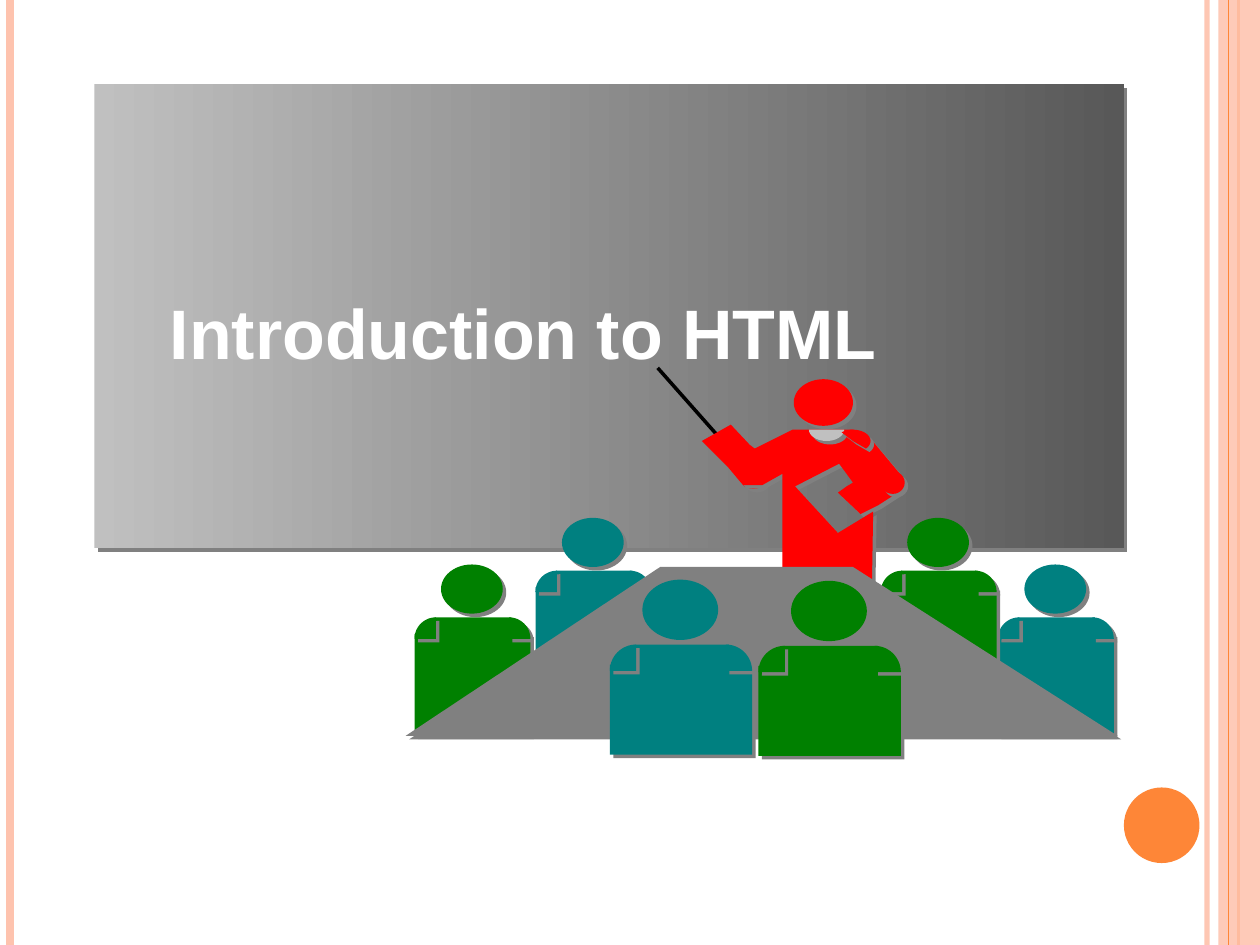
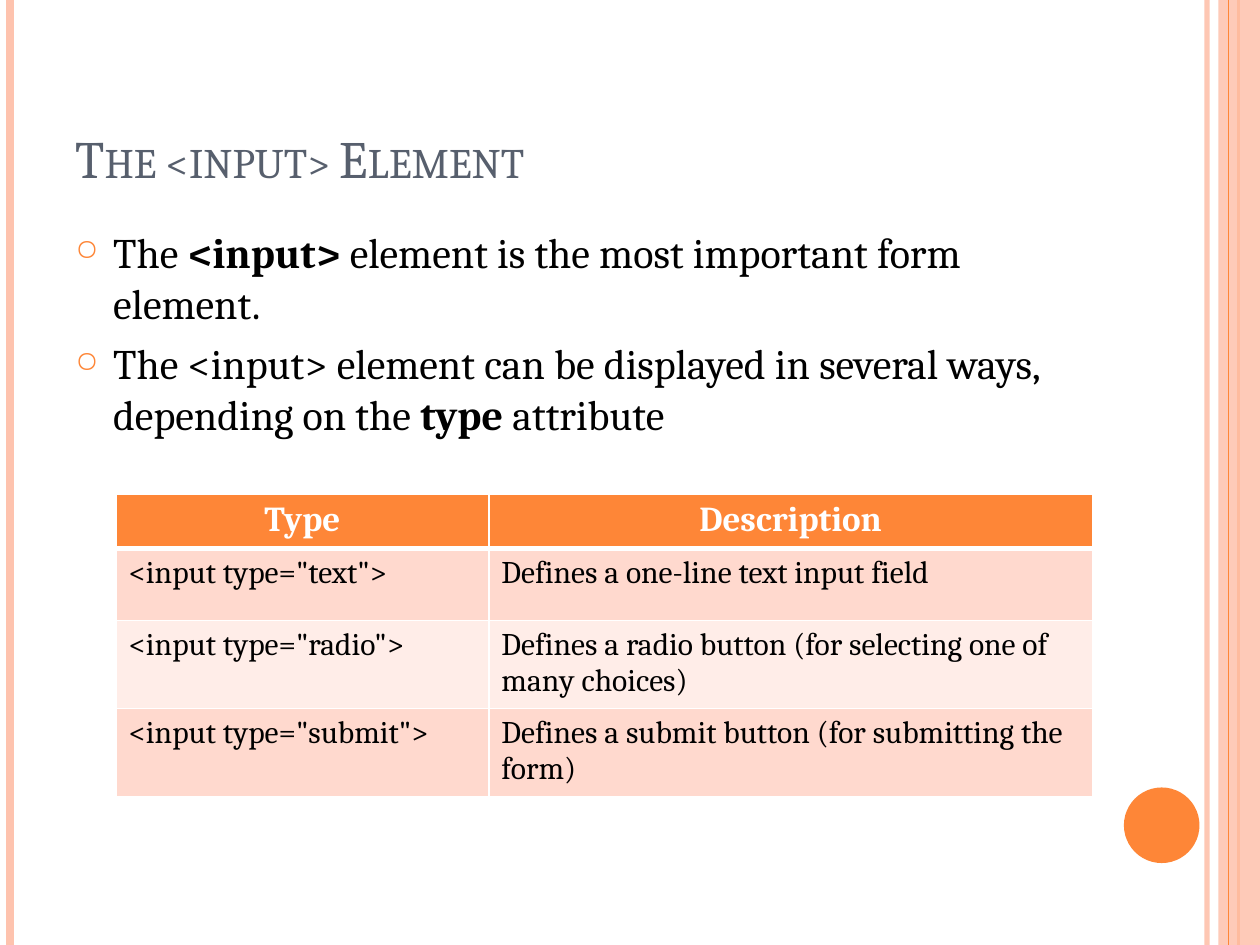
from collections import namedtuple
from math import cos, radians, sin

from lxml.etree import SubElement
from pptx import Presentation
from pptx.dml.color import RGBColor
from pptx.enum.shapes import MSO_CONNECTOR, MSO_SHAPE
from pptx.enum.text import MSO_ANCHOR, PP_ALIGN
from pptx.oxml.ns import qn
from pptx.util import Cm, Pt

COLORS = {
    "accent": "FE8637", "band": "FEC3AE", "title": "575F6D", "text": "000000",
    "white": "FFFFFF", "row_dark": "FFD9CE", "row_light": "FFEDE8",
    "board_light": "C0C0C0", "board_dark": "585858", "gray": "808080",
    "red": "FF0000", "teal": "008080", "green": "008000",
}
BODY_FONT = "Cambria"
Box = namedtuple("Box", "left top width height")


def inch(value):
    """Convert a length in inches to a length built with Cm."""
    return Cm(value * 2.54)


def rgb(name):
    """Return the named palette colour."""
    return RGBColor.from_string(COLORS[name])


def add_effects(element, shadow):
    """Replace the inherited effects with none or a hard offset shadow."""
    effects = SubElement(element.spPr, qn("a:effectLst"))
    if shadow:
        outer = SubElement(effects, qn("a:outerShdw"), dist=str(Pt(2.8)),
                           dir="2700000", algn="ctr", rotWithShape="0")
        SubElement(outer, qn("a:srgbClr"), val=COLORS["gray"])


def set_alpha(color_parent, percent):
    """Make the solid colour below an element partly transparent."""
    color = color_parent.find(".//" + qn("a:srgbClr"))
    SubElement(color, qn("a:alpha"), val=str(percent * 1000))


def finish(shape, color, shadow=False):
    """Give a shape a plain fill, no outline and its shadow."""
    shape.fill.solid()
    shape.fill.fore_color.rgb = rgb(color)
    shape.line.fill.background()
    add_effects(shape._element, shadow)
    return shape


def add_preset(slide, kind, box, color, shadow=False):
    """Add a filled preset shape in a box."""
    shape = slide.shapes.add_shape(kind, *map(inch, box))
    return finish(shape, color, shadow)


def add_line(slide, start, end, color, width, shadow=False):
    """Add a straight line between two points."""
    line = slide.shapes.add_connector(
        MSO_CONNECTOR.STRAIGHT, *map(inch, (*start, *end)))
    line.line.color.rgb = rgb(color)
    line.line.width = Pt(width)
    add_effects(line._element, shadow)
    return line


def add_outline(slide, left, top, points, color):
    """Add a closed shadowed polygon with points relative to a corner."""
    corners = [(inch(left + x), inch(top + y)) for x, y in points]
    builder = slide.shapes.build_freeform(*corners[0])
    builder.add_line_segments(corners[1:], close=True)
    return finish(builder.convert_to_shape(), color, True)


def add_sector(slide, center, radii, start, end, color):
    """Add an elliptical sector between two clockwise angles."""
    steps = 16
    angles = [radians(start + (end - start) * step / steps)
              for step in range(steps + 1)]
    points = [(radii[0] * cos(angle), radii[1] * sin(angle)) for angle in angles]
    return add_outline(slide, *center, points + [(0, 0)], color)


def add_text_box(slide, box):
    """Add a wrapping text box and return its frame."""
    frame = slide.shapes.add_textbox(*map(inch, box)).text_frame
    frame.word_wrap = True
    return frame


def format_run(run, size, color, bold=False, font=BODY_FONT):
    """Set the font of a run."""
    run.font.name = font
    run.font.size = Pt(size)
    run.font.bold = bold
    run.font.color.rgb = rgb(color)


def add_frame(slide, box):
    """Draw the side bands and the round page mark."""
    def rule(x, color, width):
        """Draw a vertical rule over the full height."""
        return add_line(slide, (box.left + x, box.top),
                        (box.left + x, box.top + box.height), color, width)

    set_alpha(rule(9.58, "band", 3)._element.spPr, 93)
    rule(0.08, "band", 4.5)
    rule(9.83, "accent", 1.5)
    band = add_preset(slide, MSO_SHAPE.RECTANGLE,
                      (box.left + 9.67, box.top, 0.33, box.height), "band")
    set_alpha(band._element.spPr, 87)
    rule(9.75, "accent", 0.75)
    add_preset(slide, MSO_SHAPE.OVAL,
               (box.left + 8.92, box.top + 6.25, 0.6, 0.6), "accent")


def add_board(slide, box):
    """Draw the shaded board."""
    board = add_preset(slide, MSO_SHAPE.RECTANGLE, box, "board_light", True)
    board.fill.gradient()
    board.fill.gradient_angle = 0
    for stop, color in zip(board.fill.gradient_stops,
                           ("board_light", "board_dark")):
        stop.color.rgb = rgb(color)


def add_presenter(slide, box):
    """Draw the presenter with pointer and book."""
    left, top = box.left, box.top
    add_line(slide, (left + 0.56, top + 0.63), (left + 0.02, top + 0.02),
             "text", 2, True)
    for x, y, width, height in ((0.68, 0.84, 0.2, 0.14), (1.1, 0.11, 0.47, 0.37)):
        add_preset(slide, MSO_SHAPE.OVAL, (left + x, top + y, width, height),
                   "red", True)
    torso = [
        (1.48, 0.51), (1.57, 0.51), (1.7, 0.57), (1.95, 0.87), (1.94, 1),
        (1.77, 1.11), (1.63, 1.18), (1.45, 1.01), (1.52, 0.96), (1.57, 0.93),
        (1.46, 0.78), (1.11, 0.96), (1.45, 1.33), (1.73, 1.16), (1.72, 1.76),
        (1.01, 1.76), (1.01, 0.86), (0.85, 0.95), (0.7, 0.95), (0.68, 0.93),
        (0.58, 0.81), (0.37, 0.6), (0.6, 0.47), (0.75, 0.63), (0.79, 0.66),
        (1.09, 0.51),
    ]
    add_outline(slide, left, top, torso, "red")
    add_preset(slide, MSO_SHAPE.OVAL, (left + 1.79, top + 0.84, 0.19, 0.18),
               "red", True)
    add_sector(slide, (left + 1.36, top + 0.51), (0.14, 0.09), 0, 180,
               "board_light")
    add_sector(slide, (left + 1.57, top + 0.6), (0.14, 0.09), -130, 42, "red")


def add_listener(slide, box, color):
    """Draw a seated listener seen from behind, scaled to the box width."""
    unit = box.width / 0.92
    shoulder = box.top + 0.42 * unit
    radius = 0.17 * unit
    body_top = box.top + 0.55 * unit
    parts = (
        (MSO_SHAPE.RECTANGLE, (box.left + 0.16 * unit, shoulder,
                               0.61 * unit, 0.2 * unit)),
        (MSO_SHAPE.RECTANGLE, (box.left, body_top, box.width,
                               box.top + box.height - body_top)),
        (MSO_SHAPE.OVAL, (box.left + 0.21 * unit, box.top,
                          0.49 * unit, 0.39 * unit)),
    )
    for kind, part in parts:
        add_preset(slide, kind, part, color, True)
    for x, start in ((radius, 180), (box.width - radius, 270)):
        add_sector(slide, (box.left + x, shoulder + radius), (radius, radius),
                   start, start + 90, color)


def add_meeting(slide, box):
    """Draw the listeners around the table."""
    back = ((4.7, 0.37, "teal"), (3.77, 0, "green"),
            (1.03, 0, "teal"), (0.07, 0.37, "green"))
    for x, y, color in back:
        add_listener(slide, Box(box.left + x, box.top + y, 0.92, 1.36), color)
    table = [(0, 1.73), (2.02, 0.39), (3.55, 0.39), (5.65, 1.73)]
    add_outline(slide, box.left, box.top, table, "gray")
    for x, y, color in ((2.8, 0.5, "green"), (1.62, 0.49, "teal")):
        add_listener(slide, Box(box.left + x, box.top + y, 1.13, 1.39), color)


def add_title(slide, box, text):
    """Write a slide title in small capitals at the foot of its box."""
    frame = add_text_box(slide, box)
    frame.vertical_anchor = MSO_ANCHOR.BOTTOM
    frame.text = text
    run = frame.paragraphs[0].runs[0]
    format_run(run, 30, "title")
    run.font._element.set("cap", "small")


def add_bullets(slide, box, items):
    """Write bulleted paragraphs of (text, bold) pieces."""
    frame = add_text_box(slide, box)
    for index, pieces in enumerate(items):
        paragraph = frame.add_paragraph() if index else frame.paragraphs[0]
        paragraph.space_before = Pt(6)
        for text, bold in pieces:
            run = paragraph.add_run()
            run.text = text
            format_run(run, 24, "text", bold)
        properties = paragraph._p.get_or_add_pPr()
        properties.set("marL", str(inch(0.3)))
        properties.set("indent", str(-inch(0.3)))
        color = SubElement(properties, qn("a:buClr"))
        SubElement(color, qn("a:srgbClr"), val=COLORS["accent"])
        SubElement(properties, qn("a:buSzPct"), val="70000")
        SubElement(properties, qn("a:buChar"), char="○")


def set_borders(cell, bottom):
    """Give a cell white borders with its own bottom width."""
    properties = cell._tc.get_or_add_tcPr()
    for side, width in (("L", 1), ("R", 1), ("T", 1), ("B", bottom)):
        border = SubElement(properties, qn("a:ln" + side), w=str(Pt(width)))
        fill = SubElement(border, qn("a:solidFill"))
        SubElement(fill, qn("a:srgbClr"), val=COLORS["white"])


def add_type_table(slide, box, rows, widths, heights):
    """Add a table with a header and banded rows."""
    table = slide.shapes.add_table(
        len(rows), len(widths), *map(inch, box)).table
    table.horz_banding = False
    for column, width in zip(table.columns, widths):
        column.width = inch(width)
    for index, texts in enumerate(rows):
        header = index == 0
        table.rows[index].height = inch(heights[index])
        band = "row_dark" if index % 2 else "row_light"
        for cell, text in zip(table.rows[index].cells, texts):
            set_borders(cell, 3 if header else 1)
            cell.fill.solid()
            cell.fill.fore_color.rgb = rgb("accent" if header else band)
            cell.text_frame.text = text
            paragraph = cell.text_frame.paragraphs[0]
            paragraph.alignment = PP_ALIGN.CENTER if header else PP_ALIGN.LEFT
            format_run(paragraph.runs[0], 20 if header else 18,
                       "white" if header else "text", header)


def build_cover(slide, box):
    """Build the opening slide."""
    add_frame(slide, box)
    add_board(slide, Box(0.75, 0.67, 8.17, 3.68))
    add_presenter(slide, Box(5.2, 2.9, 2, 1.76))
    add_meeting(slide, Box(3.22, 4.11, 5.65, 1.89))
    frame = add_text_box(slide, Box(1.25, 2.25, 7, 0.77))
    frame.text = "Introduction to HTML"
    format_run(frame.paragraphs[0].runs[0], 40, "white", True, "Arial")


def build_input_element(slide, box):
    """Build the slide on the input element."""
    add_frame(slide, box)
    add_title(slide, Box(0.5, 0.3, 8.17, 1.25), "The <input> Element")
    add_bullets(slide, Box(0.5, 1.75, 8.17, 5.33), [
        [("The\u00a0", False), ("<input>", True),
         ("\u00a0element is the most important form element.", False)],
        [("The <input> element can be displayed in several ways, "
          "depending on the\u00a0", False),
         ("type", True), ("\u00a0attribute", False)],
    ])
    add_type_table(slide, Box(0.92, 3.92, 7.75, 2.32), [
        ("Type", "Description"),
        ('<input type="text">', "Defines a one-line text input field"),
        ('<input type="radio">',
         "Defines a radio button (for selecting one of many choices)"),
        ('<input type="submit">',
         "Defines a submit button (for submitting the form)"),
    ], (2.96, 4.79), (0.41, 0.57, 0.67, 0.67))


presentation = Presentation()
page = Box(0, 0, 10, 7.5)
presentation.slide_width = inch(page.width)
presentation.slide_height = inch(page.height)
for build in (build_cover, build_input_element):
    build(presentation.slides.add_slide(presentation.slide_layouts[6]), page)
presentation.save("out.pptx")
